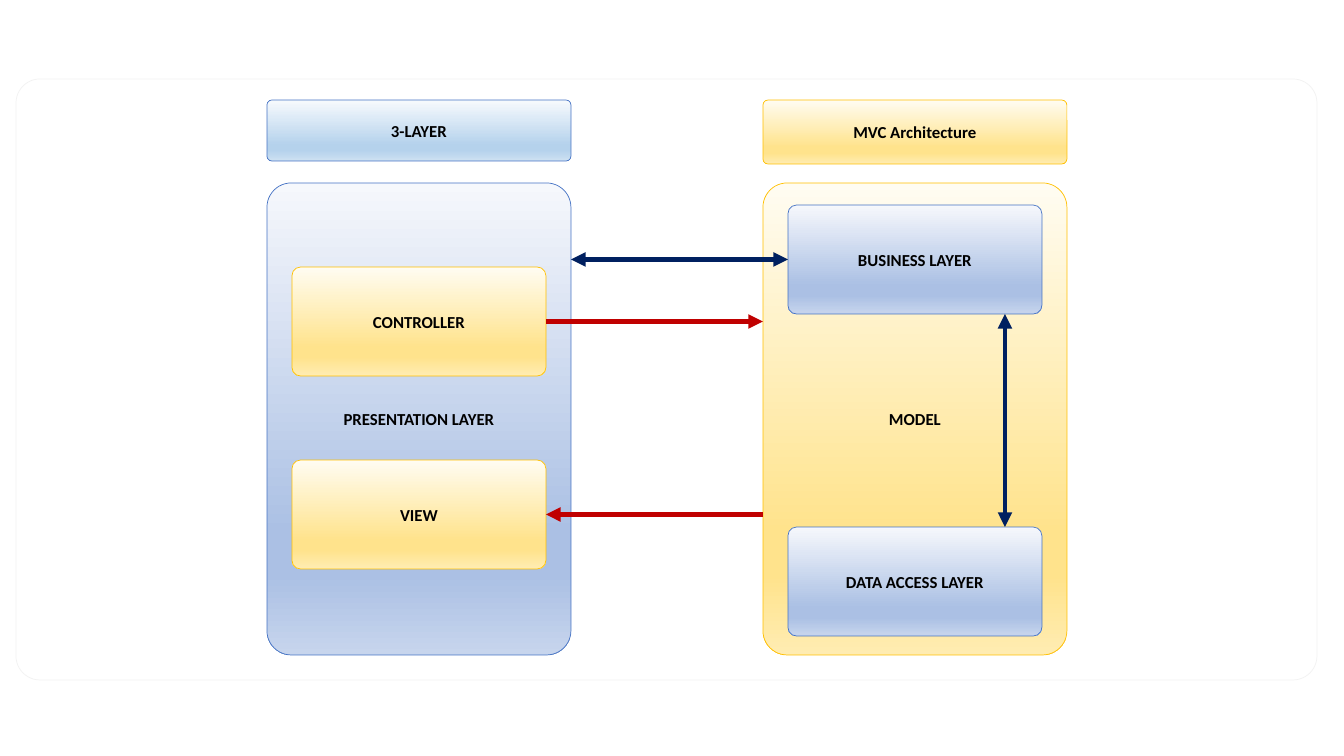
from lxml import etree
from pptx import Presentation
from pptx.dml.color import RGBColor
from pptx.enum.shapes import MSO_CONNECTOR, MSO_SHAPE
from pptx.enum.text import MSO_ANCHOR, PP_ALIGN
from pptx.oxml.ns import qn
from pptx.util import Emu, Pt

ROUND = MSO_SHAPE.ROUNDED_RECTANGLE
STRAIGHT = MSO_CONNECTOR.STRAIGHT
CENTER, MIDDLE = PP_ALIGN.CENTER, MSO_ANCHOR.MIDDLE
TOP, LEFT, BOTTOM, RIGHT = range(4)

SLIDE_W, SLIDE_H = 1344, 756
SCALE = 914400 / 100.8

COLORS = {"text": "000000", "frame": "F2F2F2", "blue": "4472C4",
          "sky": "4472C4", "gold": "FFC000", "red": "C00000", "navy": "002060"}
GRADIENTS = {"blue": ("F6F8FC", "ABC0E4", "ABC0E4", "C7D5ED"),
             "gold": ("FFFCF2", "FFE38C", "FFE38C", "FFECB2"),
             "sky": ("F7FAFD", "B5D2EC", "B5D2EC", "CEE1F2")}
STOPS = (0, 74, 83, 100)
FONT = {"name": "Calibri", "size": Pt(12), "bold": True}

FRAME = (16, 79, 1301, 601)
LAYER_X, MVC_X = 267, 763
COLUMN_W, INSET = 304, 25
INNER_W, INNER_H = COLUMN_W - 2 * INSET, 109
ACCESS_X = 1005

COLUMNS = [
    ("PRESENTATION LAYER", "blue", LAYER_X, 183, 472),
    ("MODEL", "gold", MVC_X, 183, 472),
    ("3-LAYER", "sky", LAYER_X, 100, 61),
    ("MVC Architecture", "gold", MVC_X, 100, 64),
]
INNER = [
    ("CONTROLLER", "gold", LAYER_X, 267),
    ("VIEW", "gold", LAYER_X, 460),
    ("BUSINESS LAYER", "blue", MVC_X, 205),
    ("DATA ACCESS LAYER", "blue", MVC_X, 527),
]


def px(n):
    return Emu(round(n * SCALE))


def rgb(name):
    return RGBColor.from_string(COLORS[name])


def add_round(x, y, w, h, radius, line):
    sp = s.shapes.add_shape(ROUND, px(x), px(y), px(w), px(h))
    sp.shadow.inherit = False
    sp.adjustments[0] = radius
    sp.line.color.rgb = rgb(line)
    sp.line.width = Pt(0.5)
    return sp


def add_box(text, color, x, y, w, h):
    sp = add_round(x, y, w, h, 0.08, color)
    sp.fill.gradient()
    sp.fill.gradient_angle = 270
    stops = sp._element.spPr.find(qn("a:gradFill")).find(qn("a:gsLst"))
    for gs in list(stops):
        stops.remove(gs)
    for pos, value in zip(STOPS, GRADIENTS[color]):
        gs = etree.SubElement(stops, qn("a:gs"), pos=str(pos * 1000))
        etree.SubElement(gs, qn("a:srgbClr"), val=value)
    tf = sp.text_frame
    tf.word_wrap = True
    tf.vertical_anchor = MIDDLE
    p = tf.paragraphs[0]
    p.alignment = CENTER
    r = p.add_run()
    r.text = text
    for key, value in FONT.items():
        setattr(r.font, key, value)
    r.font.color.rgb = rgb("text")
    return sp


def add_arrow(x1, y1, x2, y2, color, ends):
    c = s.shapes.add_connector(STRAIGHT, x1, y1, x2, y2)
    c.line.color.rgb = rgb(color)
    c.line.width = Pt(3.5)
    ln = c.line._get_or_add_ln()
    for end in ends:
        etree.SubElement(ln, qn(f"a:{end}"), type="triangle")
    etree.SubElement(c._element.spPr, qn("a:effectLst"))
    return c


def middle(sp):
    return sp.top + sp.height // 2


prs = Presentation()
prs.slide_width, prs.slide_height = px(SLIDE_W), px(SLIDE_H)
s = prs.slides.add_slide(prs.slide_layouts[6])

add_round(*FRAME, 0.04, "frame").fill.background()

boxes = {}
for text, color, x, y, h in COLUMNS:
    boxes[text] = add_box(text, color, x, y, COLUMN_W, h)
for text, color, x, y in INNER:
    boxes[text] = add_box(text, color, x + INSET, y, INNER_W, INNER_H)

controller, view = boxes["CONTROLLER"], boxes["VIEW"]
business, access = boxes["BUSINESS LAYER"], boxes["DATA ACCESS LAYER"]
inner_right = controller.left + controller.width
model_left = px(MVC_X)

y = middle(controller)
add_arrow(inner_right, y, model_left, y, "red",
          ["tailEnd"]).begin_connect(controller, RIGHT)
y = middle(view)
add_arrow(model_left, y, inner_right, y, "red",
          ["tailEnd"]).end_connect(view, RIGHT)
y = middle(business)
add_arrow(business.left, y, px(LAYER_X + COLUMN_W), y, "navy",
          ["headEnd", "tailEnd"]).begin_connect(business, LEFT)
add_arrow(px(ACCESS_X), business.top + business.height, px(ACCESS_X), access.top,
          "navy", ["headEnd", "tailEnd"])

prs.save("out.pptx")
